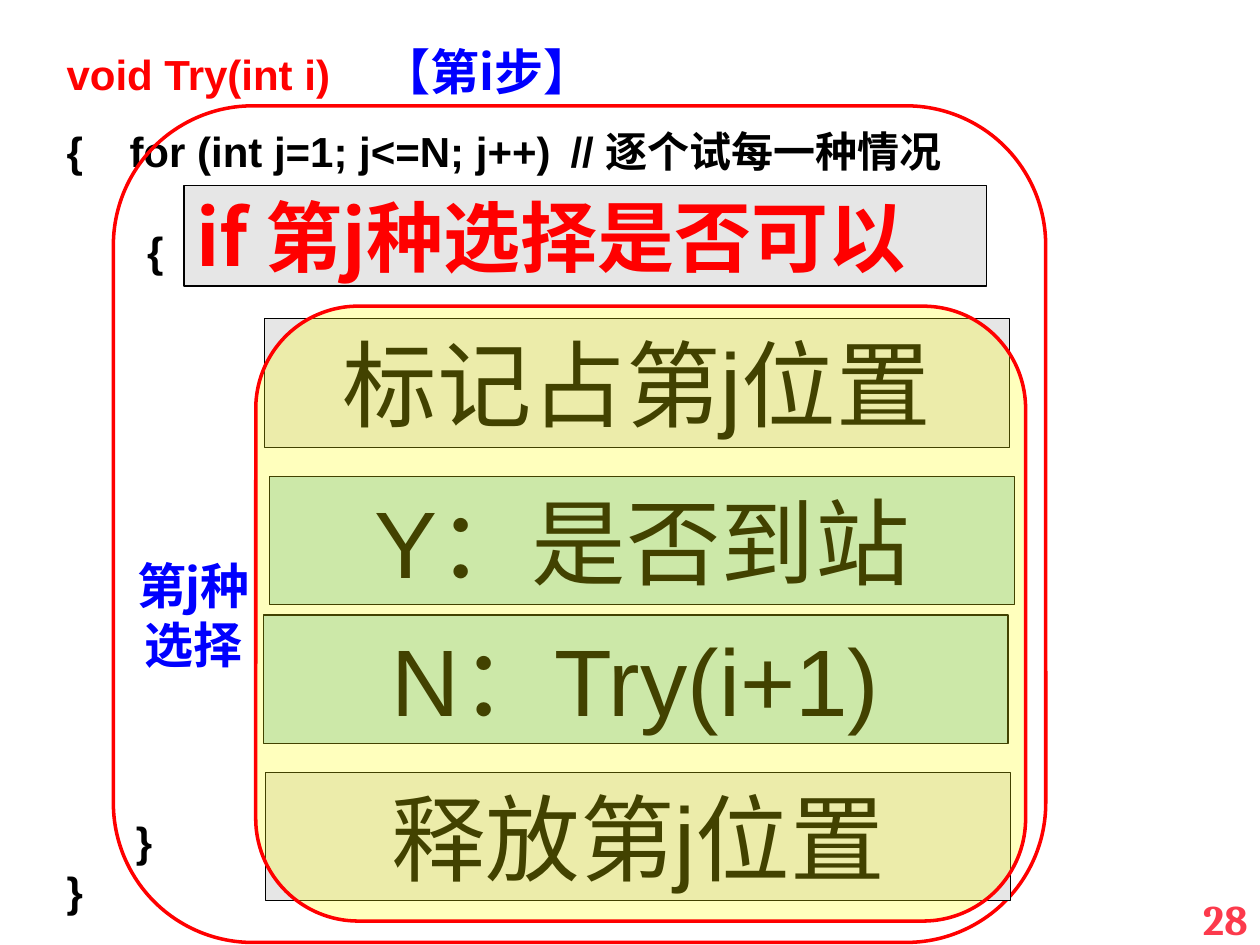
from typing import NamedTuple, Optional

from lxml.etree import SubElement
from pptx import Presentation
from pptx.dml.color import RGBColor
from pptx.enum.shapes import MSO_SHAPE as Shape
from pptx.enum.text import MSO_ANCHOR as Anchor, PP_ALIGN as Align
from pptx.oxml.ns import qn
from pptx.util import Inches, Pt

ARIAL, CJK = "Arial", "Noto Sans CJK SC"
RED, BLUE, BLACK = "FF0000", "0000FF", "000000"
GREY, TEAL, YELLOW = "E6E6E6", "BBE0E3", "FFFF00"


class Step(NamedTuple):
    text: str
    left: float
    top: float
    fill: str
    width: float = 5.91
    height: float = 1.02


class Frame(NamedTuple):
    left: float
    top: float
    width: float
    height: float
    fill: Optional[str] = None
    opacity: int = 100


class CodeLine(NamedTuple):
    runs: tuple  # (text, size, font, colour)
    spacing: float = 1.0
    before: float = 0
    indent: float = 0
    tabs: tuple = ()


CHECK = Step("if 第j种选择是否可以", 1.46, 1.47, GREY, 6.37, 0.8)
ARRIVED = Step("Y：是否到站", 2.14, 3.78, TEAL)
STEPS = [
    Step("标记占第j位置", 2.1, 2.53, GREY),
    Step("N：Try(i+1)", 2.09, 4.88, TEAL),
    Step("释放第j位置", 2.11, 6.13, GREY),
]
LOOP = Frame(0.9, 0.84, 7.4, 6.64)
CHOICE = Frame(2.03, 2.43, 6.11, 4.88, YELLOW, 26)
CODE = [
    CodeLine((("void Try(int i)\t", 24, ARIAL, RED), ("【第i步】", 28, CJK, BLUE)),
             spacing=2, tabs=(2.36,)),
    CodeLine((("{\tfor (int j=1; j<=N; j++)\t// 逐个试每一种情况", 24, ARIAL, BLACK),),
             spacing=1.5, tabs=(0.69, 4.3)),
    CodeLine((("{", 24, ARIAL, BLACK),), spacing=2, indent=0.64),
    CodeLine((("}", 24, ARIAL, BLACK),), before=308, indent=0.55),
    CodeLine((("}", 24, ARIAL, BLACK),)),
]


def rgb(colour: str) -> RGBColor:
    return RGBColor.from_string(colour)


def add_text(paragraph, text: str, *, size: float, font: str = ARIAL,
             colour: str = BLACK, bold: bool = False) -> None:
    run = paragraph.add_run()
    run.text = text
    run.font.size = Pt(size)
    run.font.name = font
    run.font.bold = bold
    run.font.color.rgb = rgb(colour)
    east_asian = CJK if font == ARIAL else font
    SubElement(run.font._element, qn("a:ea")).set("typeface", east_asian)


def add_text_box(slide, left: float, top: float, width: float, height: float):
    frame = slide.shapes.add_textbox(
        Inches(left), Inches(top), Inches(width), Inches(height)).text_frame
    frame.word_wrap = True
    return frame


def add_outlined(slide, kind, box, line_colour: str, line_width: float):
    shape = slide.shapes.add_shape(
        kind, Inches(box.left), Inches(box.top), Inches(box.width), Inches(box.height))
    shape.shadow.inherit = False
    shape.line.color.rgb = rgb(line_colour)
    shape.line.width = Pt(line_width)
    if box.fill:
        shape.fill.solid()
        shape.fill.fore_color.rgb = rgb(box.fill)
    else:
        shape.fill.background()
    return shape


def add_step(slide, step: Step, align=Align.CENTER, **text_format) -> None:
    frame = add_outlined(slide, Shape.RECTANGLE, step, BLACK, 0.75).text_frame
    frame.word_wrap = False
    frame.vertical_anchor = Anchor.MIDDLE
    frame.paragraphs[0].alignment = align
    add_text(frame.paragraphs[0], step.text, **text_format)


def add_frame(slide, frame: Frame) -> None:
    shape = add_outlined(slide, Shape.ROUNDED_RECTANGLE, frame, RED, 2)
    if frame.fill:
        colour = shape.fill._xPr.find(".//" + qn("a:srgbClr"))
        SubElement(colour, qn("a:alpha")).set("val", str(frame.opacity * 1000))


def add_code(slide, lines: list) -> None:
    frame = add_text_box(slide, 0.43, -0.19, 8.43, 7.64)
    for number, line in enumerate(lines):
        paragraph = frame.add_paragraph() if number else frame.paragraphs[0]
        paragraph.line_spacing = line.spacing
        paragraph.space_before = Pt(line.before)
        properties = paragraph._p.get_or_add_pPr()
        properties.set("marL", str(Inches(line.indent)))
        properties.set("indent", "0")
        if line.tabs:
            stops = SubElement(properties, qn("a:tabLst"))
            for position in line.tabs:
                stop = SubElement(stops, qn("a:tab"))
                stop.set("pos", str(Inches(position)))
                stop.set("algn", "l")
        for text, size, font, colour in line.runs:
            add_text(paragraph, text, size=size, font=font, colour=colour, bold=True)


def add_choice_label(slide) -> None:
    frame = add_text_box(slide, 0.98, 4.36, 1.11, 1.04)
    for number, text in enumerate(("第j种", "选择")):
        paragraph = frame.add_paragraph() if number else frame.paragraphs[0]
        paragraph.alignment = Align.CENTER
        add_text(paragraph, text, size=28, font=CJK, colour=BLUE, bold=True)


def add_page_number(slide) -> None:
    paragraph = add_text_box(slide, 7.67, 7.04, 2.33, 0.44).paragraphs[0]
    paragraph.alignment = Align.RIGHT
    add_text(paragraph, "28", size=24, font="Cambria", colour="FC3A4C", bold=True)


def main() -> None:
    deck = Presentation()
    deck.slide_width, deck.slide_height = Inches(10), Inches(7.5)
    slide = deck.slides.add_slide(deck.slide_layouts[6])
    add_page_number(slide)
    add_code(slide, CODE)
    add_step(slide, ARRIVED, size=54)
    add_frame(slide, LOOP)
    for step in STEPS:
        add_step(slide, step, size=54)
    add_step(slide, CHECK, Align.LEFT, size=44, font=CJK, colour=RED, bold=True)
    add_frame(slide, CHOICE)
    add_choice_label(slide)
    deck.save("out.pptx")


if __name__ == "__main__":
    main()
